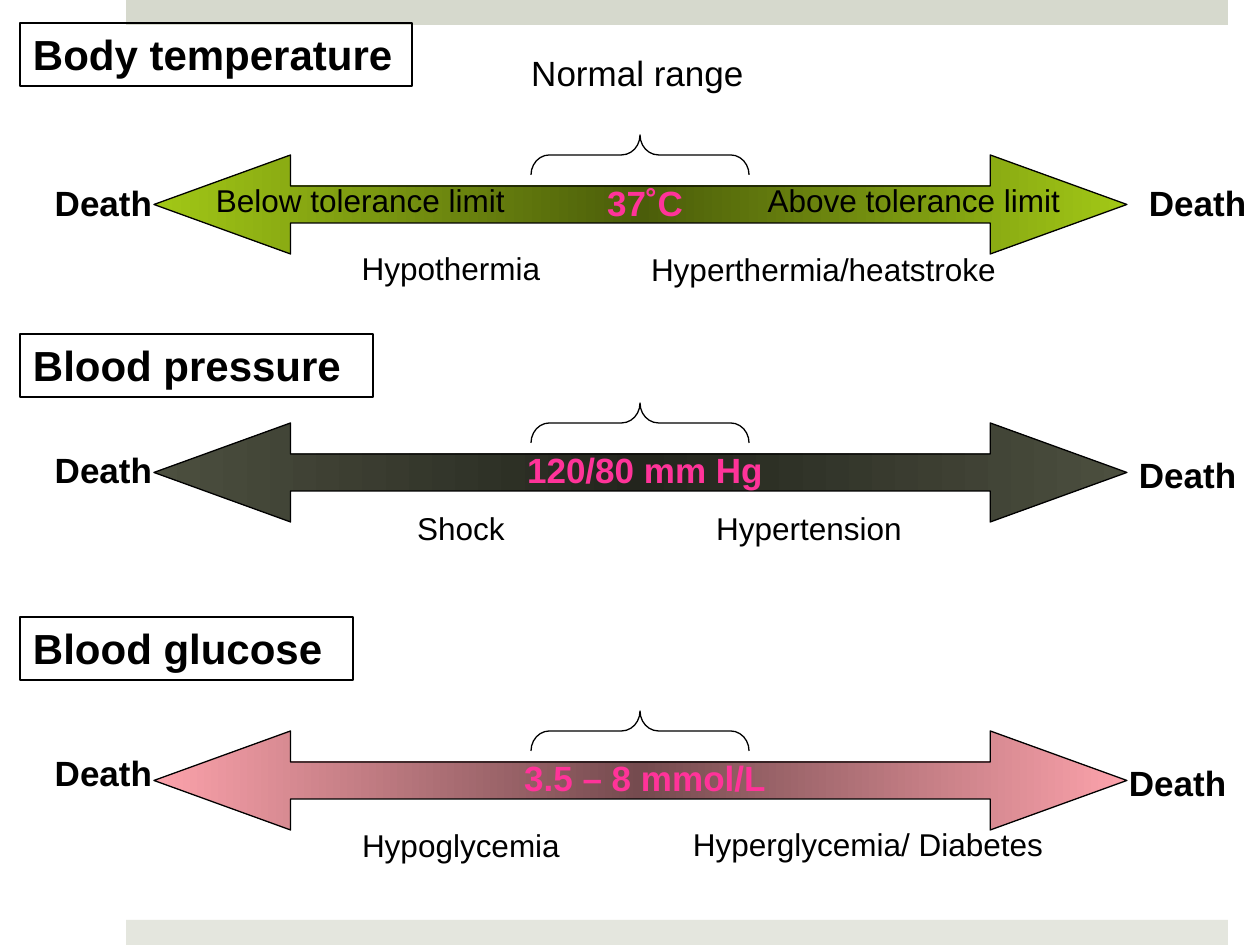
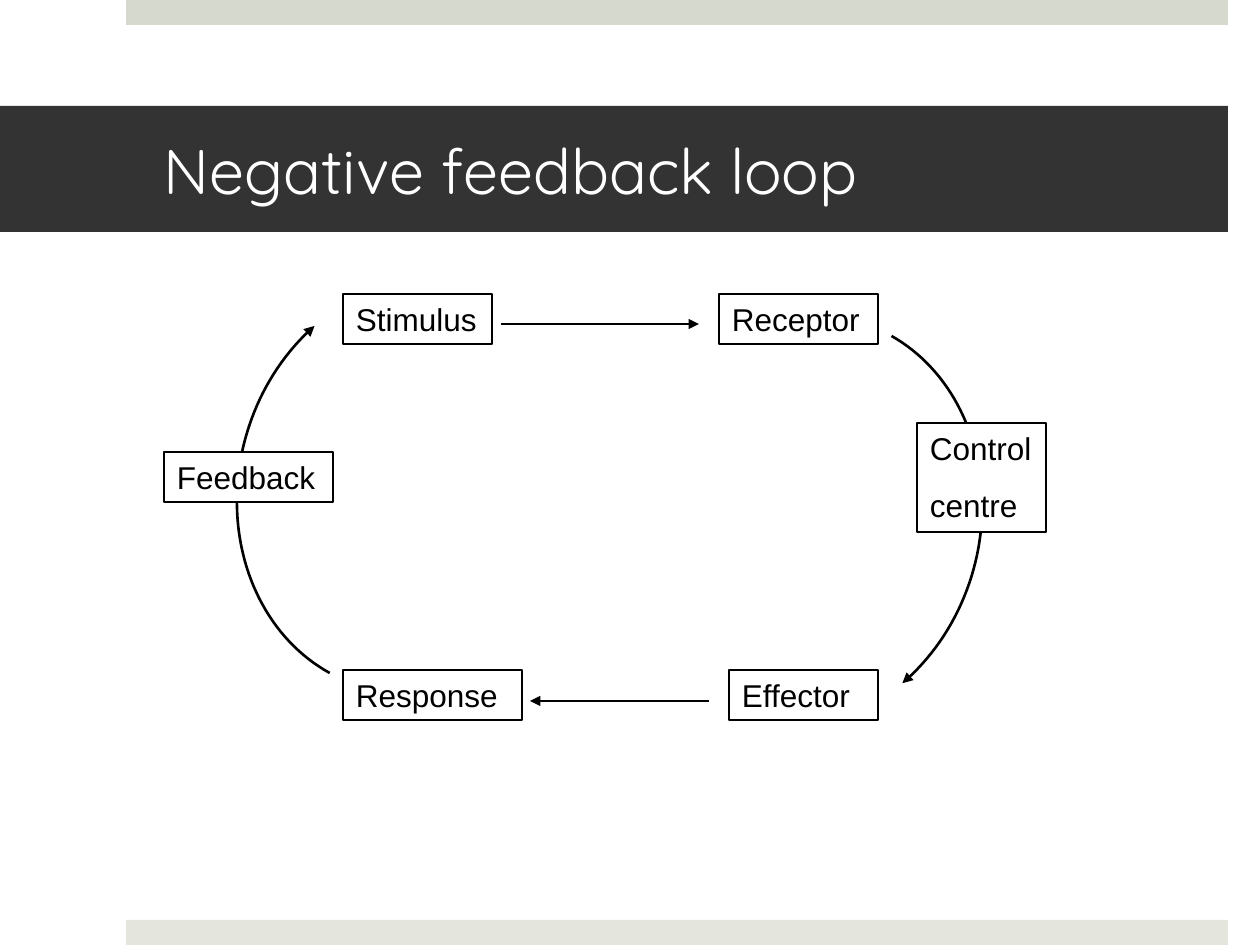
from copy import deepcopy
from math import cos, sin, radians

from pptx import Presentation
from pptx.dml.color import RGBColor
from pptx.enum.shapes import MSO_CONNECTOR, MSO_SHAPE
from pptx.enum.text import MSO_ANCHOR, PP_ALIGN
from pptx.util import Emu, Pt
from pptx.oxml.ns import qn
from lxml import etree

RECT = MSO_SHAPE.RECTANGLE
ARROW = MSO_SHAPE.LEFT_RIGHT_ARROW
BRACE = MSO_SHAPE.LEFT_BRACE
LINE = MSO_CONNECTOR.STRAIGHT
LEFT, MID, RIGHT = PP_ALIGN.LEFT, PP_ALIGN.CENTER, PP_ALIGN.RIGHT
TOP, MIDDLE = MSO_ANCHOR.TOP, MSO_ANCHOR.MIDDLE

UNIT = 914400 / 126
WIDE, HIGH = 1260, 945
INK = {
    "text": "000000", "paper": "FFFFFF", "title": "333333", "pink": "FF3399",
    "top": "D6D9CD", "foot": "E4E6DE",
    "lime": "A2C816", "moss": "4B5D0A",
    "olive": "4C4F3F", "soot": "23251D",
    "rose": "FCA2AB", "wine": "754B4F",
}
BANDS = [("top", 0), ("foot", 920)]

RANGES = [
    dict(top=155, ends="lime", core="moss",
         head=("Body temperature", 23, 392),
         value=("37˚C", 175), death=[(34, 175), (1136, 175)],
         low=("Hypothermia", 292, 243, 318),
         high=("Hyperthermia/heatstroke", 630, 244, 387)),
    dict(top=423, ends="olive", core="soot",
         head=("Blood pressure", 334, 353),
         value=("120/80 mm Hg", 442), death=[(34, 442), (1126, 447)],
         low=("Shock", 302, 503, 318),
         high=("Hypertension", 650, 503, 318)),
    dict(top=731, ends="rose", core="wine",
         head=("Blood glucose", 617, 333),
         value=("3.5 – 8 mmol/L", 750), death=[(34, 745), (1116, 755)],
         low=("Hypoglycemia", 302, 820, 318),
         high=("Hyperglycemia/ Diabetes", 630, 819, 476)),
]
SIDES = [(139, MID, (13, 13)), (124, LEFT, (13, 0))]
LIMITS = [("Below tolerance limit", 203, 318, LEFT),
          ("Above tolerance limit", 740, 333, RIGHT)]

STEPS = [
    ("Stimulus", (343, 294, 149, 50)),
    ("Receptor", (719, 294, 159, 50)),
    ("Control\ncentre", (917, 423, 129, 109)),
    ("Effector", (729, 670, 149, 50)),
    ("Response", (343, 670, 179, 50)),
    ("Feedback", (164, 452, 169, 50)),
]
LINKS = [((501, 324), (699, 324)), ((709, 701), (530, 701))]
ARCS = [((801, 522), 15.6), ((418, 486), 194.9)]
RADII = (179, 208)
SWEEP = (-78, 38)


def px(n):
    return Emu(round(n * UNIT))


def rgb(name):
    return RGBColor.from_string(INK[name])


def shape(sl, kind, box, fill=None, line=None):
    item = sl.shapes.add_shape(kind, *map(px, box))
    item.shadow.inherit = False
    paint(item, fill, line)
    return item


def paint(item, fill=None, line=None, width=0.75):
    if fill:
        item.fill.solid()
        item.fill.fore_color.rgb = rgb(fill)
    else:
        item.fill.background()
    if line:
        item.line.color.rgb = rgb(line)
        item.line.width = Pt(width)
    else:
        item.line.fill.background()


def text(sl, words, box, size=18, bold=False, color="text", font="Arial",
         align=LEFT, anchor=TOP, fill=None, line=None, inset=(13, 13)):
    if fill or line:
        item = shape(sl, RECT, box, fill, line)
    else:
        item = sl.shapes.add_textbox(*map(px, box))
    frame = item.text_frame
    frame.word_wrap = True
    frame.vertical_anchor = anchor
    frame.margin_left, frame.margin_right = map(px, inset)
    frame.margin_top = frame.margin_bottom = px(6)
    for i, part in enumerate(words.split("\n")):
        para = frame.add_paragraph() if i else frame.paragraphs[0]
        para.alignment = align
        if i:
            para.space_before = Pt(size * 0.625)
        run = para.add_run()
        run.text = part
        run.font.name = font
        run.font.size = Pt(size)
        run.font.bold = bold
        run.font.color.rgb = rgb(color)


def shade(item, names):
    item.fill.gradient()
    item.fill.gradient_angle = 0
    stops = item._element.spPr.find(qn("a:gradFill")).find(qn("a:gsLst"))
    stops.append(deepcopy(stops[0]))
    for i, (stop, name) in enumerate(zip(item.fill.gradient_stops, names)):
        stop.position = i / 2
        stop.color.rgb = rgb(name)


def tip(item):
    item.line.color.rgb = rgb("text")
    item.line.width = Pt(1.5)
    props = item._element.spPr
    etree.SubElement(props.find(qn("a:ln")), qn("a:tailEnd"), type="triangle")
    if props.find(qn("a:effectLst")) is None:
        etree.SubElement(props, qn("a:effectLst"))


def arc(sl, mid, turn):
    tilt = radians(turn)
    points = []
    for deg in range(SWEEP[0], SWEEP[1] + 1, 2):
        x = RADII[0] * cos(radians(deg))
        y = RADII[1] * sin(radians(deg))
        points.append((px(mid[0] + x * cos(tilt) - y * sin(tilt)),
                       px(mid[1] + x * sin(tilt) + y * cos(tilt))))
    path = sl.shapes.build_freeform(*points[0], scale=1.0)
    path.add_line_segments(points[1:], close=False)
    curve = path.convert_to_shape()
    curve.shadow.inherit = False
    curve.fill.background()
    tip(curve)


def page(deck):
    sl = deck.slides.add_slide(deck.slide_layouts[6])
    for name, y in BANDS:
        shape(sl, RECT, (126, y, 1102, 25), name)
    return sl


def scale(sl, row):
    top = row["top"]
    bar = shape(sl, ARROW, (154, top, 973, 99), line="text")
    bar.adjustments[0], bar.adjustments[1] = 0.373, 1.38
    shade(bar, (row["ends"], row["core"], row["ends"]))
    brace = shape(sl, BRACE, (620, top - 109, 40, 218), line="text")
    brace.adjustments[0] = 0.46
    brace.rotation = 90
    words, y, w = row["head"]
    text(sl, words, (20, y, w, 63), size=24, bold=True, line="text")
    for (x, y), (w, align, inset) in zip(row["death"], SIDES):
        text(sl, "Death", (x, y, w, 55), size=20, bold=True, align=align,
             inset=inset)
    words, y = row["value"]
    text(sl, words, (511, y, 268, 55), size=20, bold=True, color="pink",
         align=MID)
    for words, x, y, w in (row["low"], row["high"]):
        text(sl, words, (x, y, w, 50), align=MID)


def ranges(deck):
    sl = page(deck)
    for row in RANGES:
        scale(sl, row)
    text(sl, "Normal range", (412, 45, 451, 55), size=20, align=MID)
    for words, x, w, align in LIMITS:
        text(sl, words, (x, 175, w, 50), align=align)


def loop(deck):
    sl = page(deck)
    text(sl, "Negative feedback loop", (0, 106, 1228, 126), size=36,
         color="paper", font="Quicksand", anchor=MIDDLE, fill="title",
         inset=(164, 38))
    for mid, turn in ARCS:
        arc(sl, mid, turn)
    for start, end in LINKS:
        tip(sl.shapes.add_connector(LINE, *map(px, start + end)))
    for words, box in STEPS:
        text(sl, words, box, fill="paper", line="text")


def main():
    deck = Presentation()
    deck.slide_width, deck.slide_height = px(WIDE), px(HIGH)
    ranges(deck)
    loop(deck)
    deck.save("out.pptx")


if __name__ == "__main__":
    main()
